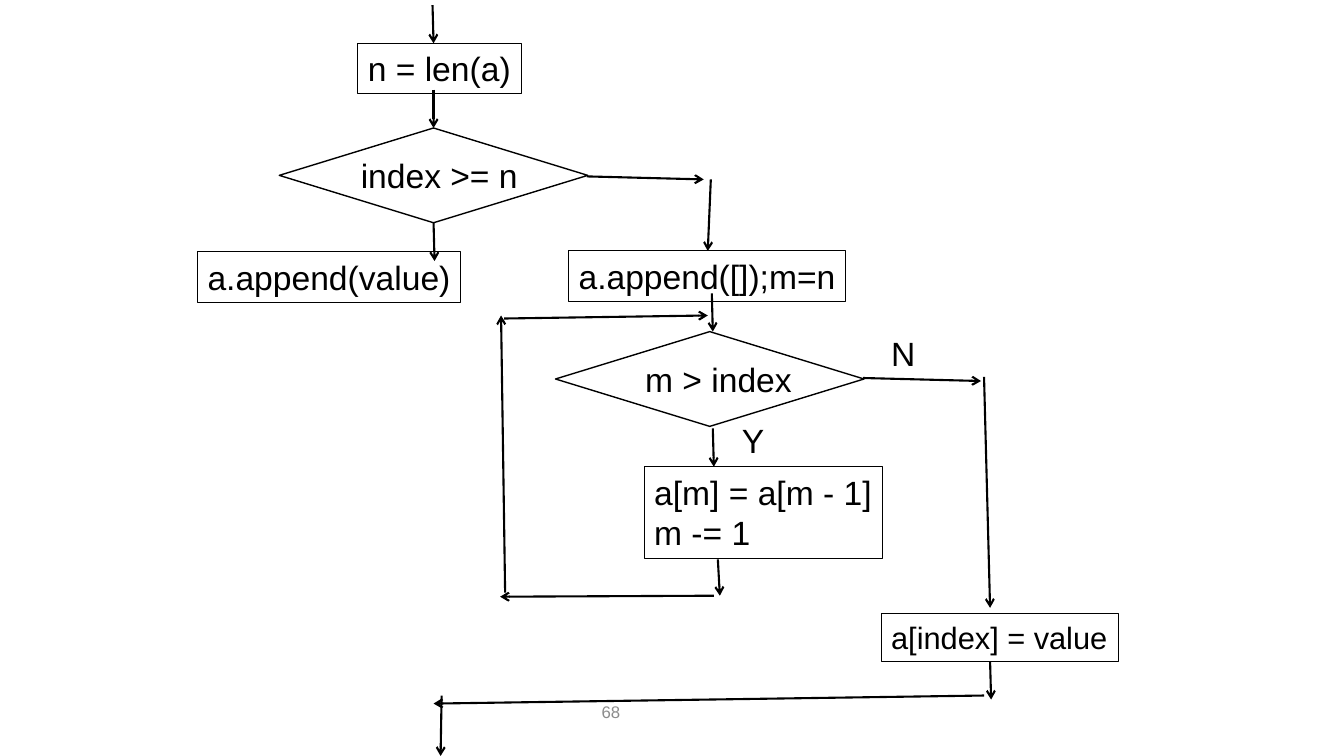
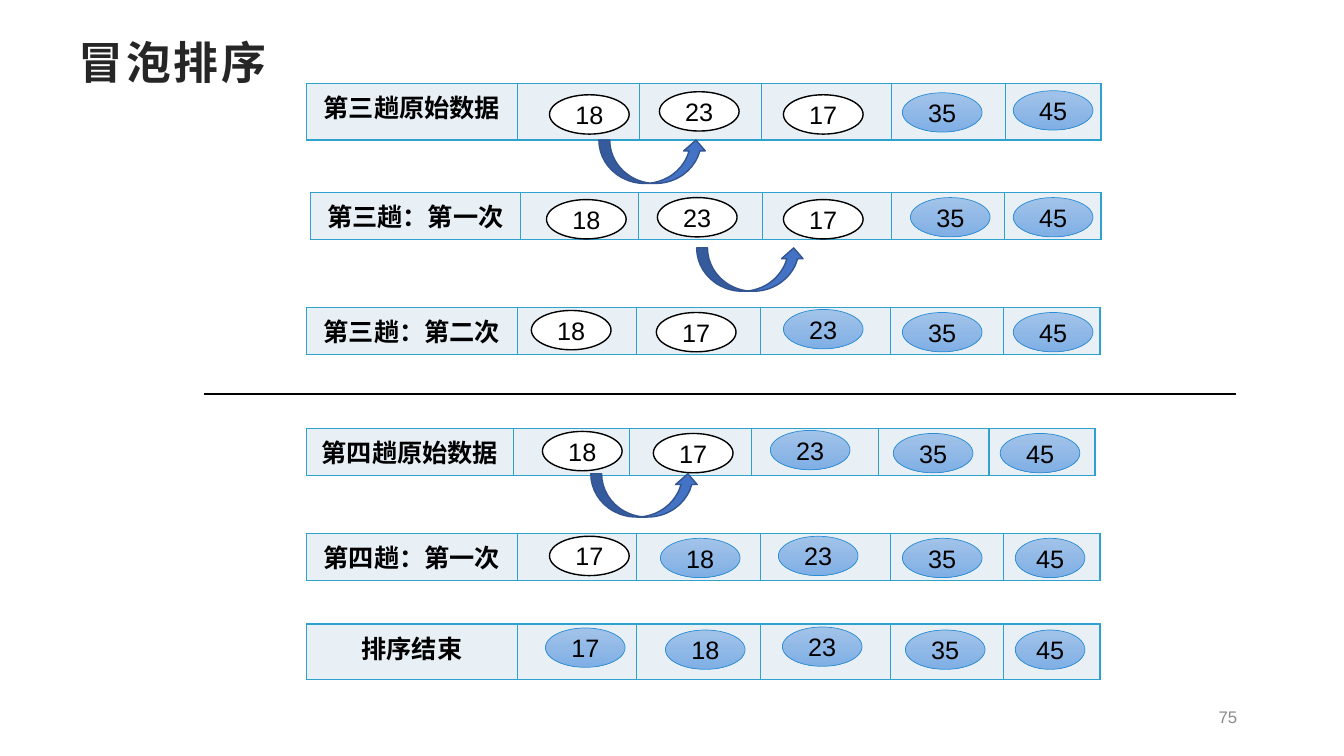
from lxml import etree
from pptx import Presentation
from pptx.dml.color import RGBColor
from pptx.enum.shapes import MSO_CONNECTOR, MSO_SHAPE
from pptx.enum.text import MSO_ANCHOR, MSO_AUTO_SIZE, PP_ALIGN
from pptx.oxml import parse_xml
from pptx.oxml.ns import nsdecls, qn
from pptx.util import Inches, Pt

FONT = "Arial"
COLORS = {
    "black": "000000", "white": "FFFFFF", "title": "262626", "number": "8C8C8C",
    "cell": "E8F0F6", "border": "2FA1CF",
    "sorted_top": "A2C3E9", "sorted_bottom": "80AFE5", "sorted_line": "2A8DD4",
    "swap": "4472C4", "swap_line": "325491",
}
RGB = {name: RGBColor.from_string(value) for name, value in COLORS.items()}


def write(frame, text, size, color="black", bold=False, align=PP_ALIGN.LEFT):
    """Write one paragraph; a newline becomes a line break."""
    para = frame.paragraphs[0]
    para.alignment = align
    for index, line in enumerate(text.split("\n")):
        if index:
            para.add_line_break()
        span = para.add_run()
        span.text = line
        span.font.name = FONT
        span.font.size = Pt(size)
        span.font.bold = bold
        span.font.color.rgb = RGB[color]
    return span


def add_line(page, start, end, arrow=True):
    """Draw a straight black line, with an arrowhead at its end if wanted."""
    line = page.shapes.add_connector(
        MSO_CONNECTOR.STRAIGHT, *map(Inches, start + end))
    line.line.color.rgb = RGB["black"]
    line.line.width = Pt(1.5)
    if arrow:
        etree.SubElement(line.line._get_or_add_ln(), qn("a:tailEnd"), type="arrow")
    etree.SubElement(line._element.spPr, qn("a:effectLst"))


deck = Presentation()
deck.slide_width = Inches(13.33)
deck.slide_height = Inches(7.5)
blank = deck.slide_layouts[6]

# Pages with their numbers
pages = []
for number, left, top in [("68", 3.3, 6.89), ("75", 9.42, 6.94)]:
    page = deck.slides.add_slide(blank)
    box = page.shapes.add_textbox(*map(Inches, (left, top, 2.95, 0.35)))
    box.text_frame.word_wrap = True
    box.text_frame.vertical_anchor = MSO_ANCHOR.MIDDLE
    write(box.text_frame, number, 12, "number", align=PP_ALIGN.RIGHT)
    pages.append(page)
flow_page, sort_page = pages

# Flowchart: decisions
for left, top in [(2.77, 1.27), (5.51, 3.29)]:
    diamond = flow_page.shapes.add_shape(
        MSO_SHAPE.DIAMOND, *map(Inches, (left, top, 3.06, 0.94)))
    diamond.shadow.inherit = False
    diamond.fill.background()
    diamond.line.color.rgb = RGB["black"]
    diamond.line.width = Pt(1)

# Flowchart: framed steps and plain labels
steps = [
    ("n = len(a)", 24, True, (3.55, 0.43, 1.62, 0.5)),
    ("index >= n", 24, False, (3.48, 1.49, 1.76, 0.5)),
    ("a.append(value)", 24, True, (1.96, 2.5, 2.61, 0.5)),
    ("a.append([]);m=n", 24, True, (5.64, 2.49, 2.75, 0.5)),
    ("m > index", 24, False, (6.3, 3.51, 1.7, 0.5)),
    ("N", 24, False, (8.74, 3.25, 0.44, 0.5)),
    ("Y", 24, False, (7.26, 4.12, 0.42, 0.5)),
    ("a[m] = a[m - 1]\nm -= 1", 24, True, (6.39, 4.63, 2.36, 0.91)),
    ("a[index] = value", 22, True, (8.74, 6.09, 2.35, 0.47)),
]
for text, size, framed, place in steps:
    area = list(map(Inches, place))
    if framed:
        box = flow_page.shapes.add_shape(MSO_SHAPE.RECTANGLE, *area)
        box.shadow.inherit = False
        box.fill.background()
        box.line.color.rgb = RGB["black"]
        box.line.width = Pt(0.75)
    else:
        box = flow_page.shapes.add_textbox(*area)
    frame = box.text_frame
    frame.word_wrap = False
    frame.auto_size = MSO_AUTO_SIZE.SHAPE_TO_FIT_TEXT
    frame.vertical_anchor = MSO_ANCHOR.TOP
    write(frame, text, size)

# Flowchart: arrows
arrows = [
    ((4.29, 0.05), (4.3, 0.43)), ((4.3, 0.89), (4.3, 1.27)),
    ((4.3, 2.21), (4.31, 2.59)), ((5.82, 1.75), (6.98, 1.78)),
    ((7.05, 1.78), (7.02, 2.49)), ((7.06, 2.91), (7.07, 3.29)),
    ((7.07, 4.25), (7.08, 4.63)), ((7.12, 5.55), (7.14, 5.91)),
    ((7.08, 5.91), (4.96, 5.92)), ((5.01, 5.88), (4.97, 3.13)),
    ((5, 3.16), (7.02, 3.13)), ((8.56, 3.75), (9.73, 3.78)),
    ((9.76, 3.74), (9.82, 6.03)), ((9.82, 6.56), (9.83, 6.94)),
    ((9.76, 6.9), (4.3, 6.98)), ((4.38, 6.9), (4.37, 7.5)),
]
for start, end in arrows:
    add_line(flow_page, start, end)

# Bubble sort: title and divider
box = sort_page.shapes.add_textbox(*map(Inches, (0.68, 0.29, 2.52, 0.78)))
box.text_frame.word_wrap = True
title = write(box.text_frame, "冒泡排序", 32, "title", bold=True)
title.font._element.set("spc", "200")
add_line(sort_page, (2.02, 3.91), (12.26, 3.91), arrow=False)

# Bubble sort: label, left, top, height, column widths, count of unsorted values,
# width of the last oval, then value, left and top of each oval
usual = (2.09, 1.18, 1.23, 1.29, 1.12, 0.96)
passes = [
    ("第三趟原始数据", 3.04, 0.83, 0.56, (2.09, 1.21, 1.21, 1.29, 1.13, 0.95), 3, 0.79,
     [(18, 5.45, 0.94), (23, 6.54, 0.91), (17, 7.77, 0.94), (35, 8.95, 0.92), (45, 10.05, 0.9)]),
    ("第三趟：第一次", 3.08, 1.91, 0.47, (2.08, 1.17, 1.23, 1.28, 1.12, 0.96), 3, 0.79,
     [(18, 5.42, 1.98), (23, 6.52, 1.96), (17, 7.77, 1.98), (35, 9.03, 1.96), (45, 10.05, 1.96)]),
    ("第三趟：第二次", 3.04, 3.05, 0.47, usual, 2, 0.79,
     [(18, 5.27, 3.08), (17, 6.51, 3.1), (23, 7.77, 3.07), (35, 8.95, 3.1), (45, 10.05, 3.1)]),
    ("第四趟原始数据", 3.04, 4.25, 0.47, (2.05, 1.15, 1.21, 1.26, 1.1, 1.05), 2, 0.79,
     [(18, 5.38, 4.28), (17, 6.48, 4.3), (23, 7.64, 4.27), (35, 8.86, 4.3), (45, 9.92, 4.3)]),
    ("第四趟：第一次", 3.04, 5.29, 0.47, usual, 1, 0.69,
     [(17, 5.45, 5.32), (18, 6.55, 5.34), (23, 7.72, 5.32), (35, 8.95, 5.34), (45, 10.07, 5.34)]),
    ("排序结束", 3.04, 6.19, 0.55, usual, 0, 0.69,
     [(17, 5.41, 6.23), (18, 6.6, 6.25), (23, 7.76, 6.22), (35, 8.98, 6.25), (45, 10.07, 6.25)]),
]
for label, left, top, height, widths, unsorted, last_width, ovals in passes:
    table = sort_page.shapes.add_table(
        1, len(widths), *map(Inches, (left, top, sum(widths), height))).table
    table.first_row = table.horz_banding = False
    for column, width in zip(table.columns, widths):
        column.width = Inches(width)
    for cell in table.rows[0].cells:
        cell.fill.solid()
        cell.fill.fore_color.rgb = RGB["cell"]
        for place, side in enumerate("LRTB"):
            cell._tc.get_or_add_tcPr().insert(place, parse_xml(
                f'<a:ln{side} {nsdecls("a")} w="{Pt(1)}"><a:solidFill>'
                f'<a:srgbClr val="{COLORS["border"]}"/></a:solidFill></a:ln{side}>'))
    write(table.cell(0, 0).text_frame, label, 18, bold=True, align=PP_ALIGN.CENTER)

    for index, (value, oval_left, oval_top) in enumerate(ovals):
        width = last_width if index == len(ovals) - 1 else 0.79
        oval = sort_page.shapes.add_shape(
            MSO_SHAPE.OVAL, *map(Inches, (oval_left, oval_top, width, 0.39)))
        oval.shadow.inherit = False
        if index < unsorted:
            oval.fill.solid()
            oval.fill.fore_color.rgb = RGB["white"]
        else:
            oval.fill.gradient()
            oval.fill.gradient_angle = 270
            for stop, shade in zip(oval.fill.gradient_stops, ("sorted_top", "sorted_bottom")):
                stop.color.rgb = RGB[shade]
        oval.line.color.rgb = RGB["black" if index < unsorted else "sorted_line"]
        oval.line.width = Pt(1 if index < unsorted else 0.5)
        oval.text_frame.vertical_anchor = MSO_ANCHOR.MIDDLE
        write(oval.text_frame, str(value), 18, align=PP_ALIGN.CENTER)

# Bubble sort: arrows between compared values
for left, top in [(5.94, 1.39), (6.91, 2.46), (5.86, 4.7)]:
    swap = sort_page.shapes.add_shape(
        MSO_SHAPE.CURVED_UP_ARROW, *map(Inches, (left, top, 1.07, 0.43)))
    swap.shadow.inherit = False
    swap.fill.solid()
    swap.fill.fore_color.rgb = RGB["swap"]
    swap.line.color.rgb = RGB["swap_line"]
    swap.line.width = Pt(1)

deck.save("out.pptx")
